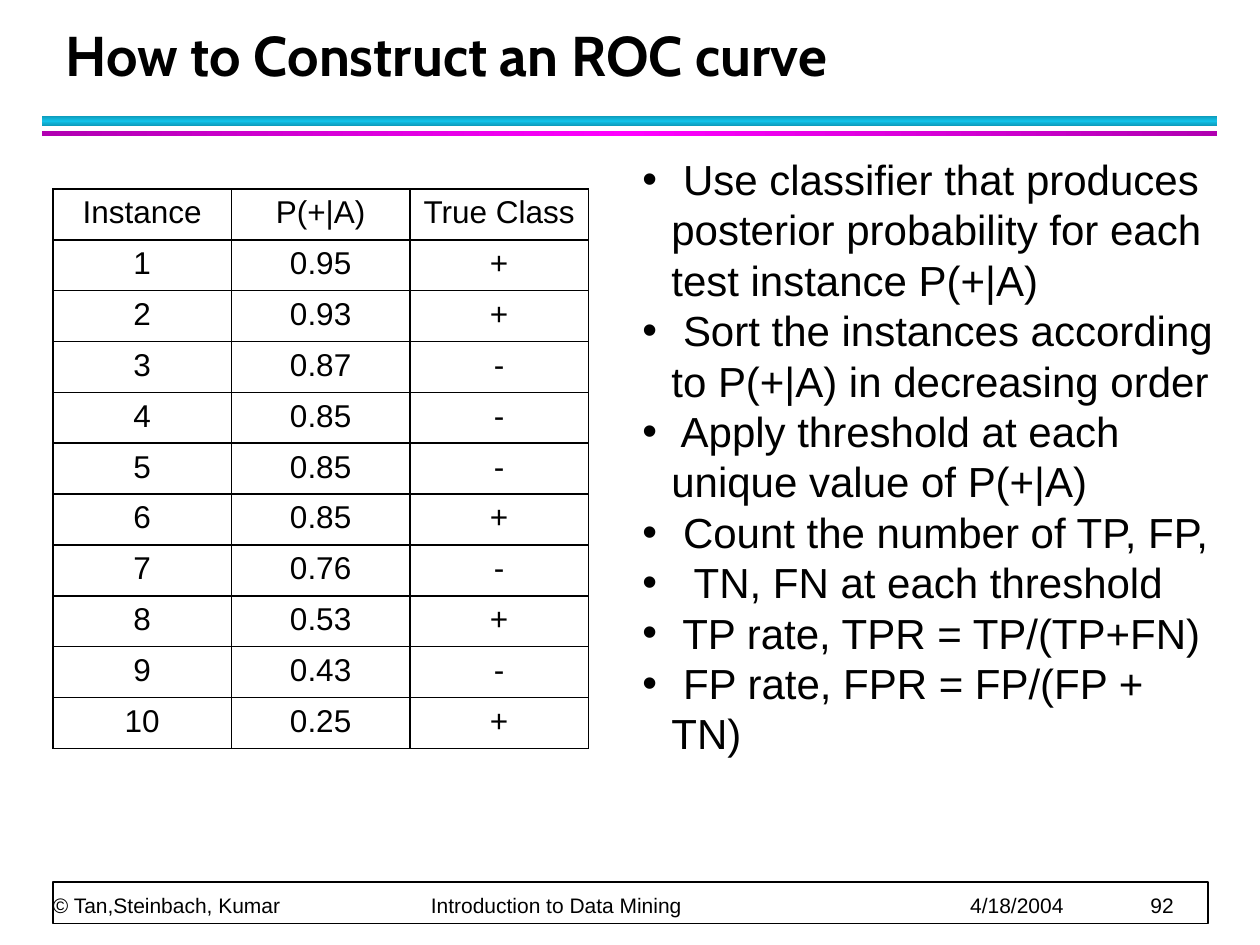
from copy import deepcopy
from lxml import etree
from pptx import Presentation
from pptx.dml.color import RGBColor
from pptx.enum.shapes import MSO_SHAPE as SHAPE
from pptx.enum.text import MSO_ANCHOR as ANCHOR, MSO_AUTO_SIZE as AUTO, PP_ALIGN as ALIGN
from pptx.oxml.ns import qn
from pptx.util import Inches, Pt


def rgb(value):
    return RGBColor.from_string(value)


def add_text(p, text, size=18, font="Arial", color="000000", bold=False, align=ALIGN.LEFT):
    p.alignment = align
    r = p.add_run()
    r.text = text
    r.font.size = Pt(size)
    r.font.name = font
    r.font.bold = bold
    r.font.color.rgb = rgb(color)


prs = Presentation()
prs.slide_width, prs.slide_height = Inches(10), Inches(7.5)
s = prs.slides.add_slide(prs.slide_layouts[5])

for top, height, edge, middle, angle in [
    (0.92, 0.08, "0E9AB9", "12C2E9", 90),
    (1.04, 0.04, "B100B1", "FF00FF", 180),
]:
    sp = s.shapes.add_shape(SHAPE.RECTANGLE, Inches(0.33), Inches(top), Inches(9.33), Inches(height))
    sp.shadow.inherit = False
    sp.line.fill.background()
    sp.fill.gradient()
    sp.fill.gradient_angle = angle
    first, second = sp.fill.gradient_stops
    first.color.rgb, first.position = rgb(edge), 0
    second.color.rgb, second.position = rgb(middle), 0.5
    stops = sp._element.spPr.find(qn("a:gradFill")).find(qn("a:gsLst"))
    last = deepcopy(stops[0])
    last.set("pos", "100000")
    stops.append(last)

sp = s.shapes.add_shape(SHAPE.RECTANGLE, Inches(0.42), Inches(7), Inches(9.17), Inches(0.33))
sp.shadow.inherit = False
sp.fill.solid()
sp.fill.fore_color.rgb = rgb("FFFFFF")
sp.line.color.rgb = rgb("000000")
sp.line.width = Pt(1)

footer = s.shapes.add_textbox(Inches(0.42), Inches(6.72), Inches(9.15), Inches(0.56))
tf = footer.text_frame
tf.word_wrap = True
tf.vertical_anchor = ANCHOR.BOTTOM
tf.margin_left = tf.margin_right = tf.margin_top = tf.margin_bottom = 0
p = tf.paragraphs[0]
add_text(p, "© Tan,Steinbach, Kumar\tIntroduction to Data Mining\t4/18/2004\t92", size=12)
tabs = etree.SubElement(p._p.get_or_add_pPr(), qn("a:tabLst"))
for pos in (3, 7.28, 8.71):
    etree.SubElement(tabs, qn("a:tab"), pos=str(Inches(pos)), algn="l")

title = s.shapes.title
title.left, title.top, title.width, title.height = Inches(0.42), Inches(0.17), Inches(9.06), Inches(0.58)
tf = title.text_frame
tf.auto_size = AUTO.NONE
tf.vertical_anchor = ANCHOR.BOTTOM
add_text(tf.paragraphs[0], "How to Construct an ROC curve", size=32, font="Cabin", bold=True)

probabilities = ["0.95", "0.93", "0.87", "0.85", "0.85", "0.85", "0.76", "0.53", "0.43", "0.25"]
rows = [("Instance", "P(+|A)", "True Class")]
rows += [(str(i), prob, sign) for i, (prob, sign) in enumerate(zip(probabilities, "++---+-+-+"), 1)]
table = s.shapes.add_table(
    len(rows), 3, Inches(0.42), Inches(1.5), Inches(4.25), Inches(4.44)).table
table.first_row = table.horz_banding = False
for i, row in enumerate(rows):
    for j, text in enumerate(row):
        cell = table.cell(i, j)
        cell.margin_left = cell.margin_right = Inches(0.05)
        add_text(cell.text_frame.paragraphs[0], text, align=ALIGN.CENTER)
        tc_pr = cell._tc.get_or_add_tcPr()
        for side in ("a:lnL", "a:lnR", "a:lnT", "a:lnB"):
            ln = etree.SubElement(tc_pr, qn(side), w=str(Pt(1)))
            fill = etree.SubElement(ln, qn("a:solidFill"))
            etree.SubElement(fill, qn("a:srgbClr"), val="000000")
        cell.fill.background()

steps = [
    (" Use classifier that produces posterior probability for each test instance P(+|A)", 0.23),
    (" Sort the instances according to P(+|A) in decreasing order", 0.23),
    (" Apply threshold at each unique value of P(+|A)", 0.23),
    (" Count the number of TP, FP,", 0.23),
    (" TN, FN at each threshold", 0.32),
    (" TP rate, TPR = TP/(TP+FN)", 0.23),
    (" FP rate, FPR = FP/(FP + TN)", 0.23),
]
body = s.shapes.add_textbox(Inches(5), Inches(1.17), Inches(4.75), Inches(5.54))
tf = body.text_frame
tf.word_wrap = True
for i, (text, indent) in enumerate(steps):
    p = tf.add_paragraph() if i else tf.paragraphs[0]
    add_text(p, text, size=24)
    p.line_spacing = Pt(28.8)
    p_pr = p._p.get_or_add_pPr()
    p_pr.set("marL", str(Inches(indent)))
    p_pr.set("indent", str(-Inches(indent)))
    etree.SubElement(p_pr, qn("a:buFont"), typeface="Arial")
    etree.SubElement(p_pr, qn("a:buChar"), char="•")

prs.save("out.pptx")
